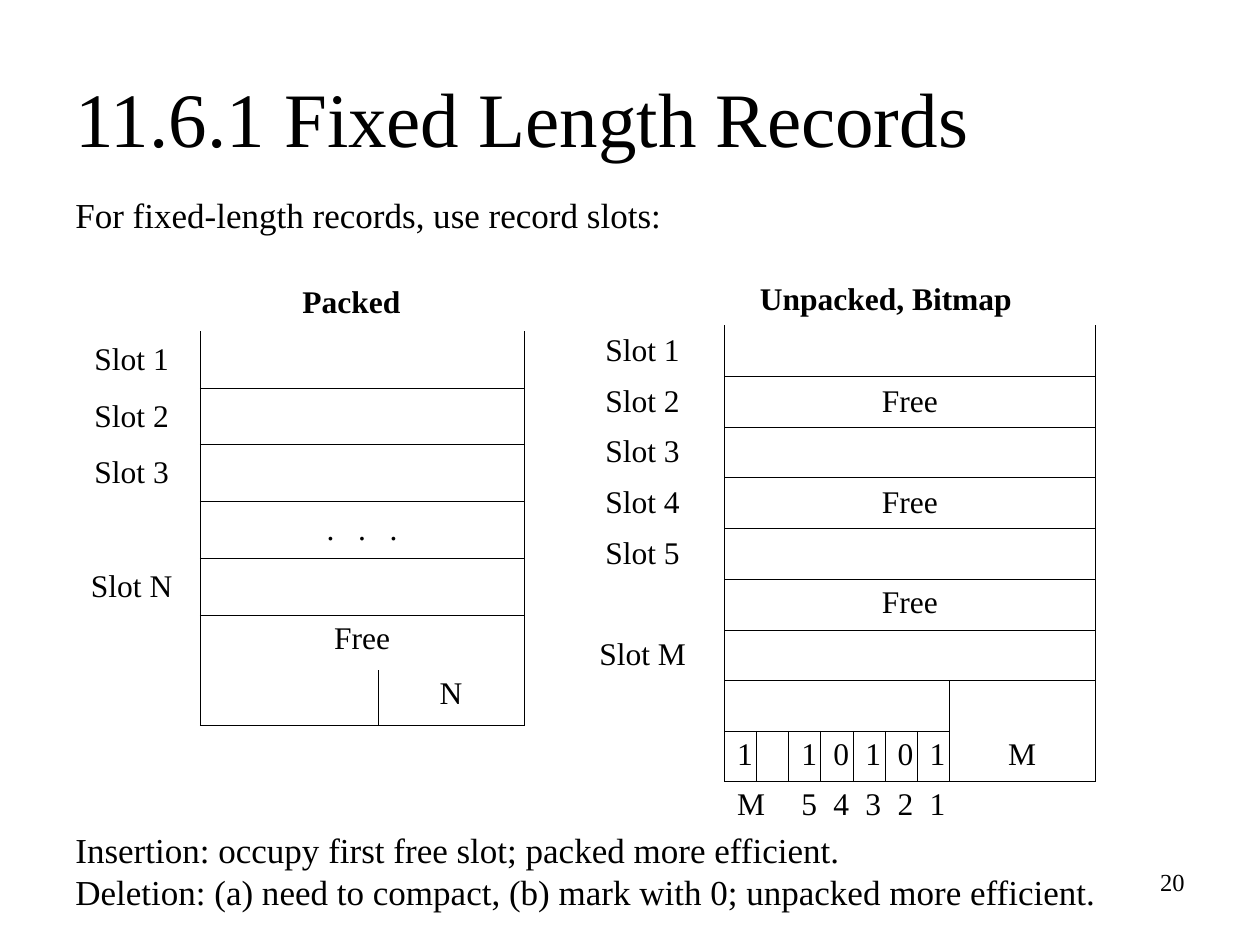
from lxml import etree
from pptx import Presentation
from pptx import util as u
from pptx.dml.color import RGBColor
from pptx.enum import text
from pptx.oxml.ns import qn

FONT, INK = "Times New Roman", "000000"
COLS, ROWS = 100, 75  # slide grid
UNIT = u.Inches(10) // COLS
CENTER, RIGHT = text.PP_ALIGN.CENTER, text.PP_ALIGN.RIGHT
TOP, MIDDLE = text.MSO_ANCHOR.TOP, text.MSO_ANCHOR.MIDDLE


def grid(*lengths):
    return [round(length * UNIT) for length in lengths]


def color(hex_value):
    return RGBColor.from_string(hex_value)


def style(paragraph, size, align=None, bold=False):
    paragraph.alignment = align
    font = paragraph.font
    font.name, font.size, font.bold = FONT, u.Pt(size), bold
    font.color.rgb = color(INK)


def write_lines(slide, box, lines, size, align=None, anchor=TOP, spacing=None, before=0):
    frame = slide.shapes.add_textbox(*grid(*box)).text_frame
    frame.word_wrap = True
    frame.vertical_anchor = anchor
    frame.text = "\n".join(lines)
    for paragraph in frame.paragraphs:
        style(paragraph, size, align)
        paragraph.line_spacing = spacing
        paragraph.space_before = u.Pt(before)


def rule_cell(cell, drawn_sides):
    """Draw the named sides of a cell and clear the others."""
    properties = cell._tc.get_or_add_tcPr()
    for side in "LRTB":
        line = etree.SubElement(properties, qn(f"a:ln{side}"), w=str(u.Pt(0.45)))
        if side in drawn_sides:
            fill = etree.SubElement(line, qn("a:solidFill"))
            etree.SubElement(fill, qn("a:srgbClr"), val=INK)
        else:
            etree.SubElement(line, qn("a:noFill"))
    cell.fill.background()


def slot_table(slide, left, top, widths, heights, words, merges, across, down, top_rows):
    """across holds (row edge, column) and down (column edge, row) of ruled lines."""
    box = grid(left, top, sum(widths), sum(heights))
    table = slide.shapes.add_table(len(heights), len(widths), *box).table
    table.first_row = table.horz_banding = False
    for column, width in zip(table.columns, grid(*widths)):
        column.width = width
    for row, height in zip(table.rows, grid(*heights)):
        row.height = height
    for row, first, last in merges:
        table.cell(row, first).merge(table.cell(row, last))

    for r in range(len(heights)):
        for c in range(len(widths)):
            cell = table.cell(r, c)
            end_r, end_c = r + 1, c + 1
            if cell.is_merge_origin:
                end_r, end_c = r + cell.span_height, c + cell.span_width
            edges = {"L": (c, r) in down, "R": (end_c, r) in down,
                     "T": (r, c) in across, "B": (end_r, c) in across}
            rule_cell(cell, [side for side, drawn in edges.items() if drawn])
            cell.vertical_anchor = TOP if r in top_rows else MIDDLE
            cell.text = words.get((r, c), "")
            style(cell.text_frame.paragraphs[0], 18, CENTER, bold=r == 0)
    # The heading stands over the slots, clear of the label column
    table.cell(0, 0).margin_left = grid(10.2)[0]
    return table


def packed_slots(slide, left, top):
    words = {(0, 0): "Packed", (4, 1): ". . .", (5, 0): "Slot N",
             (6, 1): "Free", (7, 2): "N"}
    words.update({(n, 0): f"Slot {n}" for n in range(1, 4)})
    merges = [(0, 0, 2)] + [(row, 1, 2) for row in range(1, 7)]
    across = {(edge, c) for edge in (2, 3, 4, 5, 6, 8) for c in (1, 2)}
    down = {(edge, r) for edge in (1, 3) for r in range(1, 8)} | {(2, 7)}
    table = slot_table(slide, left, top, [10.9, 14.1, 5.8], [4.5] * 6 + [4.4] * 2,
                       words, merges, across, down, top_rows=(6, 7))
    dots = table.cell(4, 1).text_frame.paragraphs[0].runs[0]
    dots._r.get_or_add_rPr().set("spc", "450")


def bitmap_slots(slide, left, top):
    words = {(0, 0): "Unpacked, Bitmap", (7, 0): "Slot M", (9, 8): "M"}
    words.update({(n, 0): f"Slot {n}" for n in range(1, 6)})
    words.update({(row, 1): "Free" for row in (2, 4, 6)})
    bits, numbers = ["1", "", "1", "0", "1", "0", "1"], ["M", "", "5", "4", "3", "2", "1"]
    for c, (bit, number) in enumerate(zip(bits, numbers), start=1):
        words[9, c], words[10, c] = bit, number
    merges = [(0, 0, 8)] + [(row, 1, 8) for row in range(1, 8)] + [(8, 1, 7)]
    across = {(edge, c) for edge in range(2, 11) for c in range(1, 9)} - {(9, 8)}
    down = {(edge, r) for edge in (1, 9) for r in range(1, 10)}
    down |= {(edge, 9) for edge in range(2, 9)} | {(8, 8)}
    slot_table(slide, left, top, [13] + [2.55] * 7 + [5.75], [4.03] * 8 + [3.8, 3.8, 4],
               words, merges, across, down, top_rows=(6, 9, 10))


def record_slide(deck):
    slide = deck.slides.add_slide(deck.slide_layouts[6])
    # Title and introduction
    write_lines(slide, (5, 3, 90, 12.5), ["11.6.1 Fixed Length Records"], 44, anchor=MIDDLE)
    write_lines(slide, (5, 15.5, 90, 5), ["For fixed-length records, use record slots:"],
                20, spacing=0.8, before=5)
    # The two page layouts
    packed_slots(slide, 5, 21.8)
    bitmap_slots(slide, 44.5, 21.8)
    # Conclusions and page number
    write_lines(slide, (5, 65.9, 90, 7.5),
                ["Insertion: occupy first free slot; packed more efficient.",
                 "Deletion: (a) need to compact, (b) mark with 0; unpacked more efficient."],
                20, spacing=0.8, before=5)
    write_lines(slide, (71.7, 68.3, 23.3, 5.2), ["20"], 14, align=RIGHT)


def main():
    deck = Presentation()
    deck.slide_width, deck.slide_height = grid(COLS, ROWS)
    record_slide(deck)
    deck.save("out.pptx")


if __name__ == "__main__":
    main()
